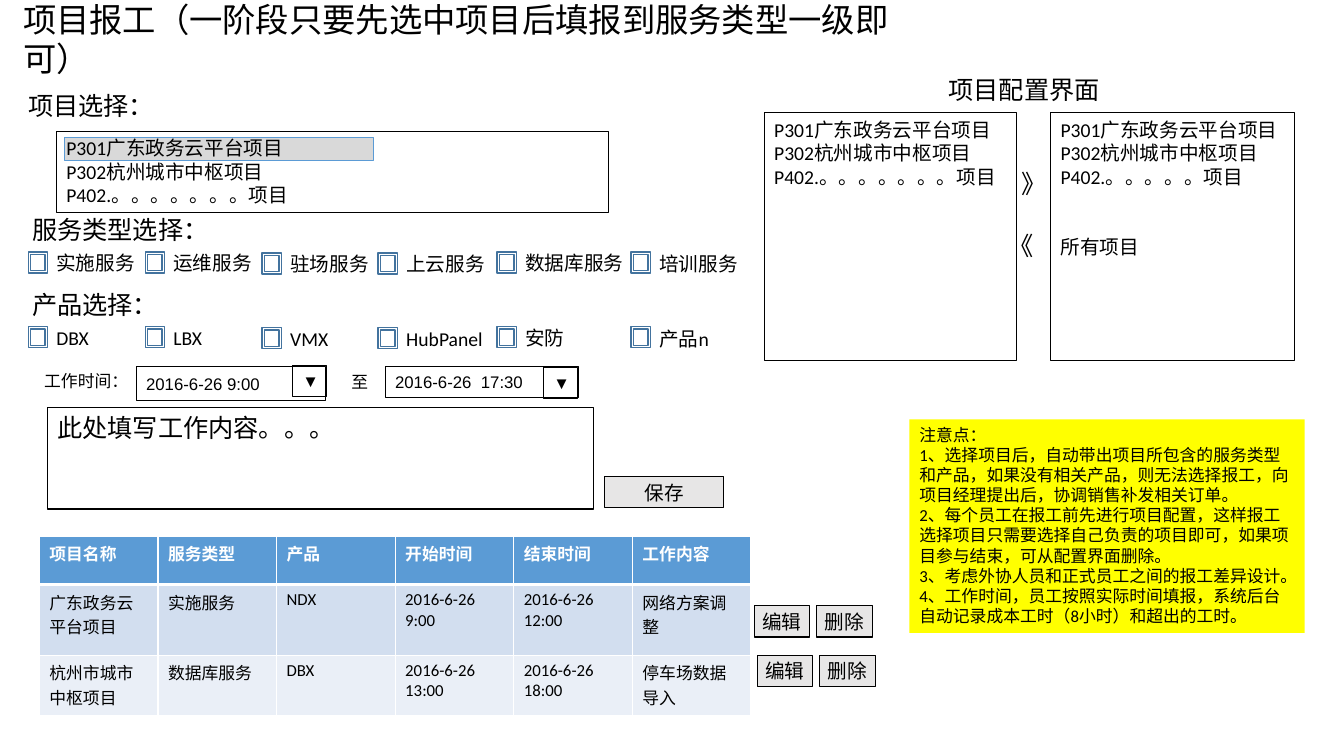
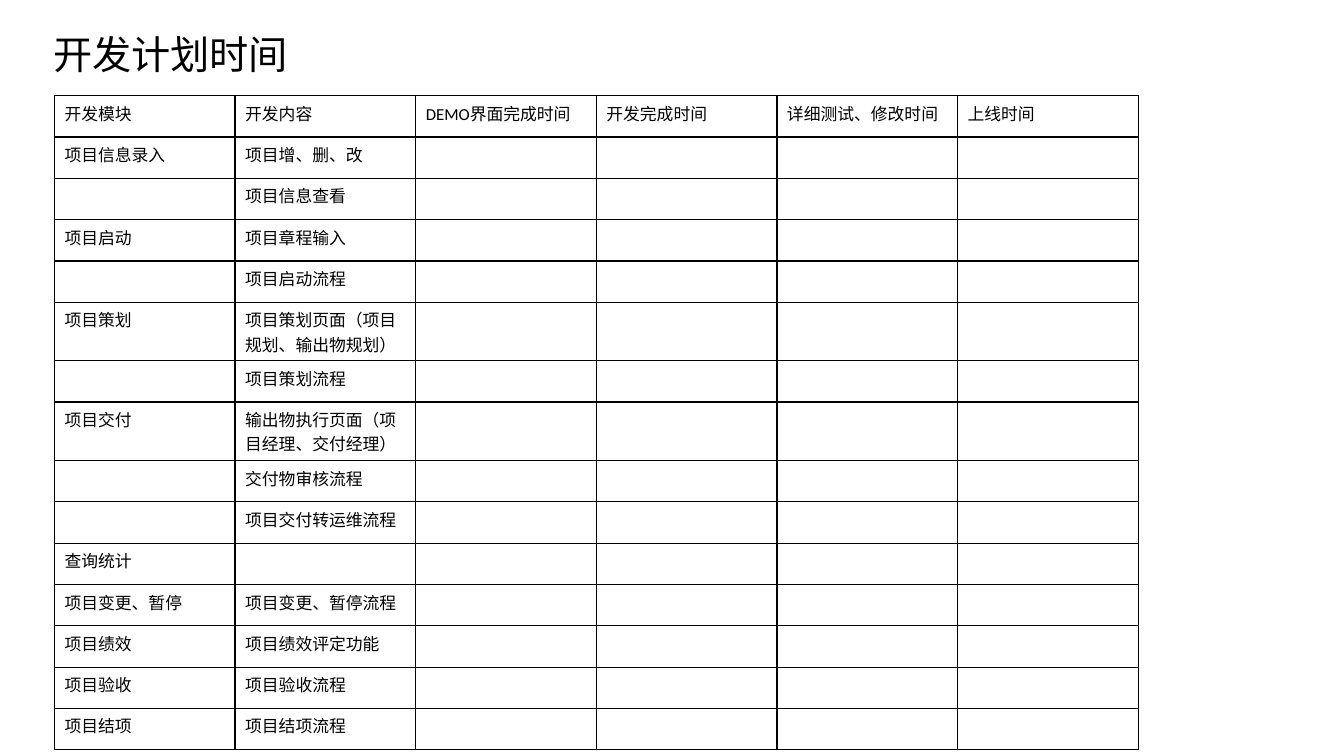
import pptx
import pptx.util
import pptx.dml.color
import pptx.enum.shapes
import pptx.enum.text
import pptx.oxml
import pptx.oxml.ns
import lxml.etree

Inches = pptx.util.Inches
Pt = pptx.util.Pt
Shapes = pptx.enum.shapes.MSO_SHAPE
Anchor = pptx.enum.text.MSO_ANCHOR
Align = pptx.enum.text.PP_ALIGN
qn = pptx.oxml.ns.qn
colours = {name: pptx.dml.color.RGBColor.from_string(value) for name, value in {
    "black": "000000", "white": "FFFFFF", "button": "E7E6E6", "blue": "5B9BD5",
    "check": "43739E", "odd": "D2DEEF", "even": "EAEFF7", "note": "FFFF00"}.items()}

deck = pptx.Presentation()
deck.slide_width, deck.slide_height = Inches(13.33), Inches(7.5)


def add_box(page, place, text="", fill=None, line=None, weight=0.75, size=14,
            font="Calibri", pitch=1.2, preset=Shapes.RECTANGLE, align=Align.LEFT, **frame_format):
    """Place a shape or, without fill and line, a plain text; one paragraph per line."""
    where = [Inches(length) for length in place]
    if fill or line:
        box = page.shapes.add_shape(preset, *where)
        box.shadow.inherit = False
        for part, colour in ((box.fill, fill), (box.line.fill, line)):
            if colour:
                part.solid()
                part.fore_color.rgb = colours[colour]
            else:
                part.background()
        if line:
            box.line.width = Pt(weight)
    else:
        box = page.shapes.add_textbox(*where)
    frame = box.text_frame
    for name, value in {"word_wrap": True, "vertical_anchor": Anchor.TOP, **frame_format}.items():
        setattr(frame, name, value)
    for index, words in enumerate(text.split("\n") if text else []):
        para = frame.add_paragraph() if index else frame.paragraphs[0]
        para.alignment = align
        para.line_spacing = Pt(round(size * pitch, 1))
        span = para.add_run()
        span.text = words
        for name, value in {"size": Pt(size), "name": font}.items():
            setattr(span.font, name, value)
        span.font.color.rgb = colours["black"]
    return box


def add_grid(page, left, top, width, rows, heights, fills, border, header_weight, header_colour):
    """Place a table; fills gives the header colour, then the colours of the body rows."""
    table = page.shapes.add_table(len(rows), len(rows[0]), Inches(left), Inches(top),
                                  Inches(width), Inches(sum(heights))).table
    for row_index, texts in enumerate(rows):
        table.rows[row_index].height = Inches(heights[row_index])
        is_header = row_index == 0
        for column, words in enumerate(texts):
            cell = table.cell(row_index, column)
            if fills:
                cell.fill.solid()
                cell.fill.fore_color.rgb = colours[fills[row_index]]
            else:
                cell.fill.background()
            para = cell.text_frame.paragraphs[0]
            para.text = words
            for name, value in {"size": Pt(12), "name": "Calibri",
                                "bold": is_header and bool(fills)}.items():
                setattr(para.font, name, value)
            para.font.color.rgb = colours[header_colour if is_header else "black"]
            # Borders precede the fill in the cell properties
            for position, side in enumerate(("lnL", "lnR", "lnT", "lnB")):
                under_header = (side, row_index) in (("lnB", 0), ("lnT", 1))
                edge = lxml.etree.Element(qn("a:" + side))
                edge.set("w", str(Pt(header_weight if under_header else 1)))
                paint = lxml.etree.SubElement(edge, qn("a:solidFill"))
                lxml.etree.SubElement(paint, qn("a:srgbClr")).set("val", str(colours[border]))
                cell._tc.get_or_add_tcPr().insert(position, edge)


# Slide 1: work report form
page = deck.slides.add_slide(deck.slide_layouts[6])
projects = "P301广东政务云平台项目\nP302杭州城市中枢项目\nP402."
long_list = projects + "。。。。。。。项目"
outlined = {"fill": "white", "line": "black"}
add_box(page, (0.56, 1.3, 5.48, 0.81), long_list, **outlined)
highlight = add_box(page, (0.64, 1.36, 3.06, 0.23), fill="black", line="blue", weight=0.5)
tint = highlight.fill._xPr.find(qn("a:solidFill"))[0]
lxml.etree.SubElement(tint, qn("a:alpha")).set("val", "15000")
add_box(page, (0.13, 0, 9.22, 0.78), "项目报工（一阶段只要先选中项目后填报到服务类型一级即可）",
        size=23.8, pitch=1.17, vertical_anchor=Anchor.MIDDLE)

# Section headings
for left, top, width, words in ((0.18, 0.85, 4.9, "项目选择："), (0.22, 2.08, 4.9, "服务类型选择："),
                                (0.22, 2.82, 4.9, "产品选择："), (9.31, 0.69, 2.94, "项目配置界面"),
                                (10.03, 1.62, 0.58, "》"), (9.9, 2.24, 0.51, "《")):
    add_box(page, (left, top, width, 0.4), words, size=18)

# Check boxes: left edge, service, product, drop of the box, drop of the label
options = ((0.28, "实施服务", "DBX", 0, 0), (1.44, "运维服务", "LBX", 0, 0),
           (2.6, "驻场服务", "VMX", 0.01, 0.01), (3.75, "上云服务", "HubPanel", 0.01, 0.01),
           (4.93, "数据库服务", "安防", 0, 0), (6.26, "培训服务", "产品n", 0, 0.01))
for left, service, product, box_drop, label_drop in options:
    for top, words in ((2.5, service), (3.24, product)):
        add_box(page, (left, top + box_drop, 0.19, 0.21), line="check", weight=1,
                preset=Shapes.FRAME)
        add_box(page, (left + 0.18, top - 0.06 + label_drop, 1.22, 0.34), words)

# Working time and content
small = {"size": 12, "font": "Arial"}
centred = {"word_wrap": False, "vertical_anchor": Anchor.MIDDLE}
add_box(page, (0.47, 4.04, 5.42, 1.01), "此处填写工作内容。。。", size=18, **outlined)
add_box(page, (0.34, 3.63, 0.92, 0.3), "工作时间：", **small)
add_box(page, (3.35, 3.64, 0.45, 0.3), " 至", **small)
for left, width, height, words, arrow_left, arrow_top in (
        (1.35, 1.88, 0.33, "2016-6-26 9:00", 2.9, 3.63),
        (3.82, 1.92, 0.3, "2016-6-26  17:30", 5.39, 3.65)):
    add_box(page, (left, 3.64, width, height), words, **outlined, **small, **centred)
    add_box(page, (arrow_left, arrow_top, 0.34, 0.3), "▼", line="black", **small)

# Buttons
for left, top, width, words in ((6, 4.73, 1.18, "保存"),
                                (7.48, 6.01, 0.55, "编辑"), (8.1, 6.01, 0.55, "删除"),
                                (7.51, 6.5, 0.55, "编辑"), (8.13, 6.5, 0.55, "删除")):
    add_box(page, (left, top, width, 0.31), words, fill="button", line="black",
            font="Arial", align=Align.CENTER, **centred)

# Reported work
reports = (("项目名称", "服务类型", "产品", "开始时间", "结束时间", "工作内容"),
           ("广东政务云平台项目", "实施服务", "NDX", "2016-6-26  9:00", "2016-6-26  12:00", "网络方案调整"),
           ("杭州市城市中枢项目", "数据库服务", "DBX", "2016-6-26  13:00", "2016-6-26  18:00",
            "停车场数据导入"))
add_grid(page, 0.39, 5.32, 7.06, reports, (0.48, 0.7, 0.6), ("blue", "odd", "even"),
         "white", 3, "white")

# Project configuration
add_box(page, (7.58, 1.12, 2.5, 2.46), long_list, **outlined)
all_projects = add_box(page, (10.42, 1.12, 2.42, 2.46),
                       projects + "。。。。。项目\n所有项目", **outlined)
all_projects.text_frame.paragraphs[-1].space_before = Pt(33)

# Notes
notes = """注意点：
1、选择项目后，自动带出项目所包含的服务类型和产品，如果没有相关产品，则无法选择报工，向项目经理提出后，协调销售补发相关订单。
2、每个员工在报工前先进行项目配置，这样报工选择项目只需要选择自己负责的项目即可，如果项目参与结束，可从配置界面删除。
3、考虑外协人员和正式员工之间的报工差异设计。
4、工作时间，员工按照实际时间填报，系统后台自动记录成本工时（8小时）和超出的工时。"""
add_box(page, (9.02, 4.16, 3.92, 2.12), notes, fill="note", size=12)

# Slide 2: development plan
page = deck.slides.add_slide(deck.slide_layouts[6])
add_box(page, (0.43, 0.14, 4.24, 0.78), "开发计划时间", size=28, vertical_anchor=Anchor.MIDDLE)
plan_header = ("开发模块", "开发内容", "DEMO界面完成时间", "开发完成时间", "详细测试、修改时间", "上线时间")
tasks = (("项目信息录入", "项目增、删、改"), ("", "项目信息查看"),
         ("项目启动", "项目章程输入"), ("", "项目启动流程"),
         ("项目策划", "项目策划页面（项目规划、输出物规划）"), ("", "项目策划流程"),
         ("项目交付", "输出物执行页面（项目经理、交付经理）"), ("", "交付物审核流程"),
         ("", "项目交付转运维流程"), ("查询统计", ""),
         ("项目变更、暂停", "项目变更、暂停流程"), ("项目绩效", "项目绩效评定功能"),
         ("项目验收", "项目验收流程"), ("项目结项", "项目结项流程"))
plan = [plan_header] + [task + ("",) * 4 for task in tasks]
# Task names of more than ten characters take two lines
plan_heights = [0.58 if len(row[1]) > 10 else 0.41 for row in plan]
add_grid(page, 0.54, 0.95, 10.75, plan, plan_heights, None, "black", 1, "black")

deck.save("out.pptx")
